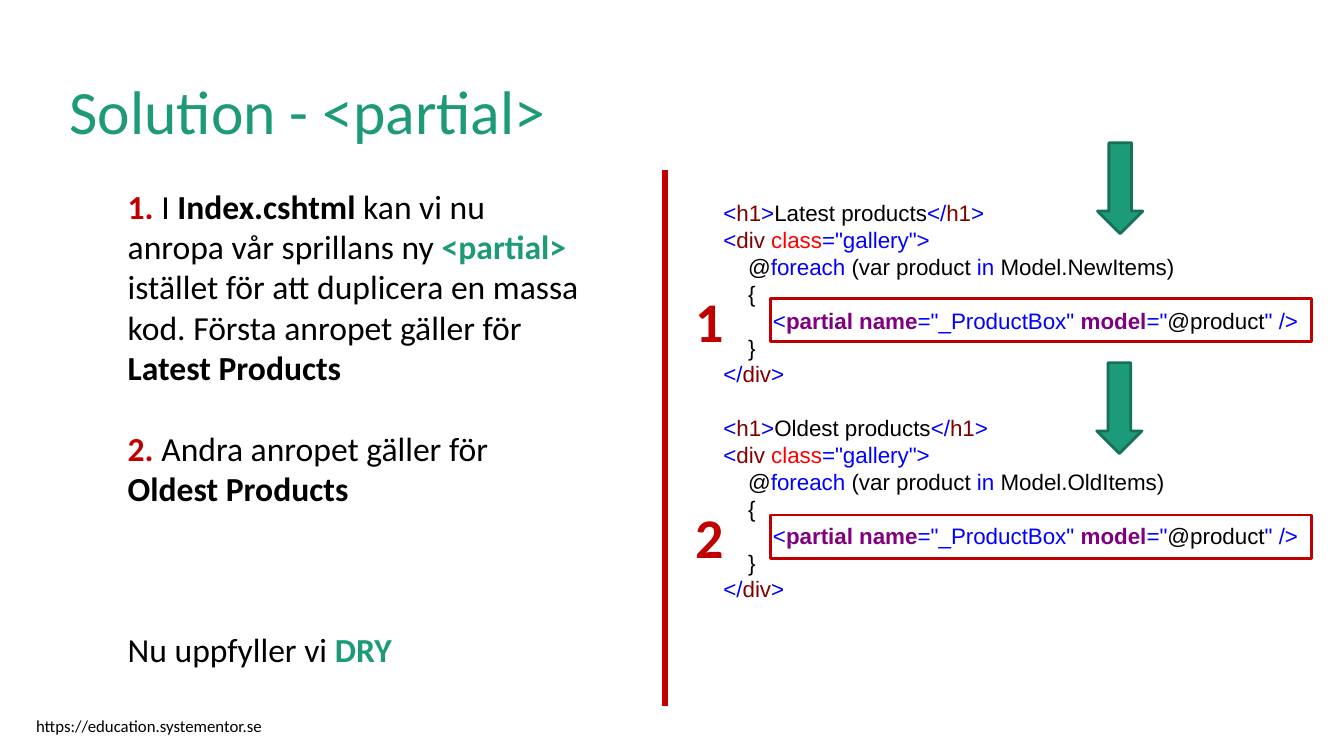
from dataclasses import dataclass

from lxml import etree
from pptx import Presentation
from pptx import util as u
from pptx.dml.color import RGBColor
from pptx.enum import shapes, text
from pptx.oxml.ns import qn

COLOURS = {
    "black": "000000", "green": "1D9A78", "dark_green": "157259", "red": "C00000",
    "blue": "0000FF", "maroon": "800000", "attribute": "FF0000", "purple": "800080",
}


@dataclass
class Run:
    words: str
    colour: str = "black"
    bold: bool = False


@dataclass
class Line:
    runs: list[Run]
    before: float = 0  # points


@dataclass
class Box:
    left: float  # centimetres
    top: float
    width: float
    height: float

    def place(self) -> tuple:
        return tuple(u.Cm(n) for n in (self.left, self.top, self.width, self.height))


@dataclass
class Call:
    number: str
    heading: str
    items: str
    number_top: float
    frame_top: float
    arrow_left: float
    arrow_top: float


CALLS = [
    Call("1", "Latest products", "NewItems", 7.09, 7.52, 27.66, 3.6),
    Call("2", "Oldest products", "OldItems", 12.55, 12.98, 27.64, 9.14),
]


def rgb(name: str) -> RGBColor:
    return RGBColor.from_string(COLOURS[name])


def write(frame, lines: list[Line], size: float, font: str = "Calibri", **layout) -> None:
    """Fill a text frame; layout holds paragraph settings."""
    frame.word_wrap = True
    for index, line in enumerate(lines):
        paragraph = frame.paragraphs[0] if index == 0 else frame.add_paragraph()
        for key, value in layout.items():
            setattr(paragraph, key, value)
        if line.before:
            paragraph.space_before = u.Pt(line.before)
        for part in line.runs:
            run = paragraph.add_run()
            run.text = part.words
            for key, value in {"name": font, "size": u.Pt(size), "bold": part.bold}.items():
                setattr(run.font, key, value)
            run.font.color.rgb = rgb(part.colour)


def add_text(slide, box: Box, lines: list[Line], size: float, font: str = "Calibri", **layout) -> None:
    write(slide.shapes.add_textbox(*box.place()).text_frame, lines, size, font, **layout)


def add_outlined(slide, kind, box: Box, line: str, fill: str = "") -> None:
    shape = slide.shapes.add_shape(kind, *box.place())
    shape.shadow.inherit = False
    if fill:
        shape.fill.solid()
        shape.fill.fore_color.rgb = rgb(fill)
    else:
        shape.fill.background()
    shape.line.color.rgb = rgb(line)
    shape.line.width = u.Pt(2)


def gallery_code(call: Call, before: float) -> list[Line]:
    """Razor markup of one product gallery."""
    return [
        Line([Run("<", "blue"), Run("h1", "maroon"), Run(">", "blue"), Run(call.heading),
              Run("</", "blue"), Run("h1", "maroon"), Run(">", "blue")], before),
        Line([Run("<", "blue"), Run("div ", "maroon"), Run("class", "attribute"),
              Run('="gallery">', "blue")]),
        Line([Run("    @"), Run("foreach", "blue"), Run(" (var product "),
              Run("in ", "blue"), Run(f"Model.{call.items})")]),
        Line([Run("    {")]),
        Line([Run("        "), Run("<", "blue"), Run("partial name", "purple", True),
              Run('="_ProductBox" ', "blue"), Run("model", "purple", True),
              Run('="', "blue"), Run("@product"), Run('" />', "blue")]),
        Line([Run("    }")]),
        Line([Run("</", "blue"), Run("div", "maroon"), Run(">", "blue")]),
    ]


def main() -> None:
    deck = Presentation()
    deck.slide_width, deck.slide_height = u.Cm(33.87), u.Cm(19.05)
    slide = deck.slides.add_slide(deck.slide_layouts[5])

    # Title
    title = slide.shapes.title
    title.left, title.top, title.width, title.height = Box(1.5, 1.5, 26.01, 2.79).place()
    title.text_frame.vertical_anchor = text.MSO_ANCHOR.MIDDLE
    write(title.text_frame, [Line([Run("Solution - <partial>", "green")])], 44,
          alignment=text.PP_ALIGN.LEFT, line_spacing=0.9)

    # Footer address
    add_text(slide, Box(0.66, 17.91, 9.91, 0.76), [Line([Run("https://education.systementor.se")])], 12)

    # Explanation
    explanation_pitch = 28.8
    explanation = [
        Line([Run("1. ", "red", True), Run("I "), Run("Index.cshtml", bold=True),
              Run(" kan vi nu anropa vår sprillans ny "), Run("<partial>", "green", True),
              Run(" istället för att duplicera en massa kod. Första anropet gäller för "),
              Run("Latest Products", bold=True)]),
        Line([Run("2. ", "red", True), Run("Andra anropet gäller för "),
              Run("Oldest Products", bold=True)], explanation_pitch),
        Line([Run("Nu uppfyller vi "), Run("DRY", "green", True)], 3 * explanation_pitch),
    ]
    add_text(slide, Box(2.97, 4.55, 11.89, 12.57), explanation, 24,
             line_spacing=u.Pt(explanation_pitch))

    # Code
    code_pitch = 19.2
    code = [line for index, call in enumerate(CALLS) for line in gallery_code(call, index * code_pitch)]
    add_text(slide, Box(17.98, 4.9, 15.44, 10.52), code, 16, "Arial", line_spacing=u.Pt(code_pitch))

    # Divider
    divider = slide.shapes.add_connector(shapes.MSO_CONNECTOR.STRAIGHT,
                                         u.Cm(16.76), u.Cm(17.78), u.Cm(16.76), u.Cm(4.29))
    divider.line.color.rgb = rgb("red")
    divider.line.width = u.Pt(4.5)
    etree.SubElement(divider._element.spPr, qn("a:effectLst"))

    # Number, frame and arrow of each call
    for call in CALLS:
        add_text(slide, Box(17.27, call.number_top, 1.14, 1.96),
                 [Line([Run(call.number, "red", True)])], 40, alignment=text.PP_ALIGN.CENTER)
        add_outlined(slide, shapes.MSO_SHAPE.RECTANGLE, Box(19.41, call.frame_top, 13.64, 1.09), "red")
        add_outlined(slide, shapes.MSO_SHAPE.DOWN_ARROW,
                     Box(call.arrow_left, call.arrow_top, 1.14, 2.29), "dark_green", "green")

    deck.save("out.pptx")


if __name__ == "__main__":
    main()
